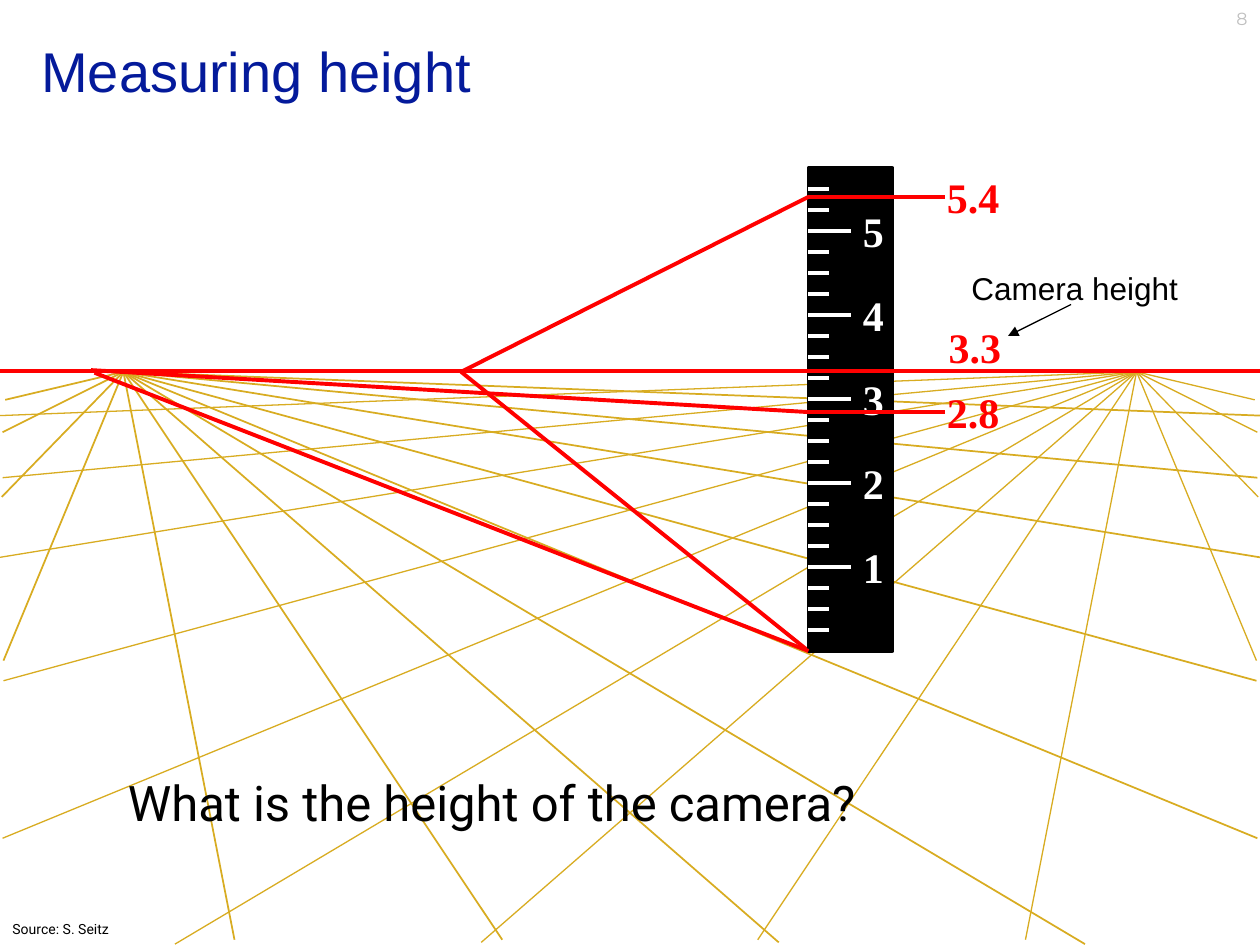
from pptx import Presentation
from pptx.dml.color import RGBColor
from pptx.enum.shapes import MSO_CONNECTOR, MSO_SHAPE
from pptx.enum.text import MSO_ANCHOR, PP_ALIGN
from pptx.util import Pt
from lxml.etree import SubElement
from pptx.oxml.ns import qn

theme = {
    "grid": RGBColor(0xD8, 0xAC, 0x21),
    "red": RGBColor(0xFF, 0, 0),
    "black": RGBColor(0, 0, 0),
    "white": RGBColor(0xFF, 0xFF, 0xFF),
    "blue": RGBColor(0x04, 0x1A, 0x9B),
    "gray": RGBColor(0xBF, 0xBF, 0xBF),
    "title": 32, "ask": 28, "mark": 24, "label": 18, "page": 10, "source": 8,
}

deck = Presentation()
deck.slide_width, deck.slide_height = Pt(720), Pt(540)
slide = deck.slides.add_slide(deck.slide_layouts[6])
shapes = slide.shapes


def line(start, end, color, width=2.25):
    link = shapes.add_connector(MSO_CONNECTOR.STRAIGHT, *map(Pt, start + end))
    link.line.color.rgb = theme[color]
    link.line.width = Pt(width)
    SubElement(link._element.spPr, qn("a:effectLst"))
    return link


def write(text, place, font, size, color, bold=False, align=PP_ALIGN.LEFT,
          anchor=MSO_ANCHOR.TOP, wrap=True):
    frame = shapes.add_textbox(*map(Pt, place)).text_frame
    frame.text = text
    frame.word_wrap = wrap
    frame.vertical_anchor = anchor
    para = frame.paragraphs[0]
    para.alignment = align
    style = para.runs[0].font
    style.name, style.size, style.bold = font, Pt(theme[size]), bold
    style.color.rgb = theme[color]


write("8", (673, 0, 47, 21.5), "Montserrat", "page", "gray",
      align=PP_ALIGN.RIGHT, anchor=MSO_ANCHOR.MIDDLE)

line((2, 212.5), (720, 212.5), "grid", 1)
hub = (649.5, 212.5)
rays = [(1.5, 479), (100, 539.5), (275, 538.5), (433, 537), (586, 537),
        (718, 377.5), (719, 284), (718.5, 247), (717, 228.5),
        (2, 389), (0, 318.5), (1.5, 273), (0, 237.5)]
for x, y in rays:
    line(hub, (x, y), "grid", 0.75)
for x, y in rays:
    line((720 - hub[0], hub[1]), (720 - x, y), "grid", 1)

write("Measuring height", (16.5, 13, 687, 54.5), "Arial", "title", "blue",
      anchor=MSO_ANCHOR.MIDDLE)

edge = 462
foot = (edge, 372)
near = (263.5, 212.5)
line(foot, near, "red")

ruler = shapes.add_shape(MSO_SHAPE.RECTANGLE, Pt(edge), Pt(96), Pt(48), Pt(276))
ruler.shadow.inherit = False
ruler.fill.solid()
ruler.fill.fore_color.rgb = theme["black"]
ruler.line.color.rgb = theme["black"]
ruler.line.width = Pt(2.25)

for mark in range(1, 6):
    write(str(mark), (486, 354 - 48 * mark, 30, 36), "Times New Roman",
          "mark", "white", bold=True)
for tick in range(22):
    y = 360 - 12 * tick
    size = 24 if tick % 4 == 3 else 12
    line((edge, y), (edge + size, y), "white")

line(near, (edge, 112.5), "red")
line((edge, 112.5), (540, 112.5), "red")
line(foot, (54, 213), "red")
line((52, 211.5), (edge, 235.5), "red")
line((edge, 235.5), (540, 235.5), "red")
line((0, 212), (720, 212), "red")

for text, x, y, wide, align in [("5.4", 534, 94.5, 66, PP_ALIGN.LEFT),
                                ("2.8", 534, 217.5, 66, PP_ALIGN.LEFT),
                                ("3.3", 530, 180, 54, PP_ALIGN.CENTER)]:
    write(text, (x, y, wide, 36), "Times New Roman", "mark", "red",
          bold=True, align=align)

write("Camera height", (548, 150, 132.5, 29), "Arial", "label", "black", wrap=False)
arrow = line((612, 174), (576, 192), "black", 0.75)
SubElement(arrow.line._get_or_add_ln(), qn("a:tailEnd"), type="triangle")

write("What is the height of the camera?", (66, 438, 594, 41), "Roboto", "ask", "black")
write("Source: S. Seitz", (0, 522.5, 72.5, 17), "Roboto", "source", "black", wrap=False)

deck.save("out.pptx")
